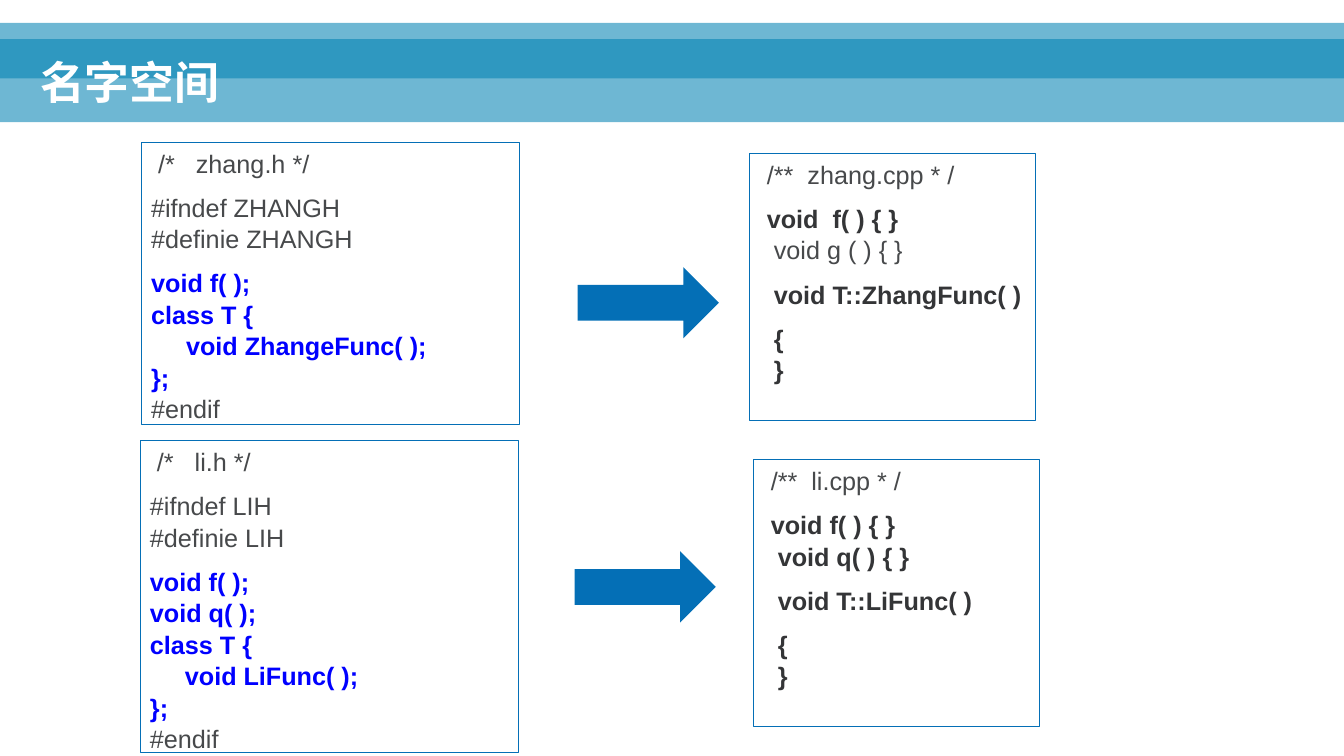
import pptx
import pptx.dml.color
import pptx.enum.shapes
import pptx.enum.text
import pptx.util
from lxml import etree
from pptx.oxml.ns import qn

Cm = pptx.util.Cm
Pt = pptx.util.Pt
RGBColor = pptx.dml.color.RGBColor
MSO_SHAPE = pptx.enum.shapes.MSO_SHAPE

WHITE = RGBColor(0xFF, 0xFF, 0xFF)
BAND_BLUE = RGBColor(0x00, 0x82, 0xB3)
FRAME_BLUE = RGBColor(0x04, 0x6F, 0xB6)
CODE_GRAY = RGBColor(0x47, 0x49, 0x4B)
DEFINITION_GRAY = RGBColor(0x34, 0x35, 0x37)
DECLARATION_BLUE = RGBColor(0x00, 0x00, 0xFF)

FONT = "Arial"
SLIDE_WIDTH, SLIDE_HEIGHT = 33.87, 19.05

# Code styles: colour and weight
PLAIN = (CODE_GRAY, False)
DECLARED = (DECLARATION_BLUE, True)
DEFINED = (DEFINITION_GRAY, True)

# Each file is a list of paragraphs; each paragraph a list of (lines, style)
ZHANG_HEADER = [
    [(" /*   zhang.h */", PLAIN)],
    [("#ifndef ZHANGH\n#definie ZHANGH", PLAIN)],
    [("void f( );\nclass T {\n     void ZhangeFunc( );\n};", DECLARED),
     ("#endif", PLAIN)],
]
ZHANG_SOURCE = [
    [(" /**  zhang.cpp * /", PLAIN)],
    [(" void  f( ) { }", DEFINED), ("  void g ( ) { }", PLAIN)],
    [("  void T::ZhangFunc( )", DEFINED)],
    [("  {\n  }", DEFINED)],
]
LI_HEADER = [
    [(" /*   li.h */", PLAIN)],
    [("#ifndef LIH\n#definie LIH", PLAIN)],
    [("void f( );\nvoid q( );\nclass T {\n     void LiFunc( );\n};", DECLARED),
     ("#endif", PLAIN)],
]
LI_SOURCE = [
    [(" /**  li.cpp * /", PLAIN)],
    [(" void f( ) { }\n  void q( ) { }", DEFINED)],
    [("  void T::LiFunc( )", DEFINED)],
    [("  {\n  }", DEFINED)],
]


def add_block(slide, kind, box, fill, line=None):
    block = slide.shapes.add_shape(kind, *map(Cm, box))
    block.shadow.inherit = False
    block.fill.solid()
    block.fill.fore_color.rgb = fill
    if line is None:
        block.line.fill.background()
    else:
        block.line.color.rgb = line
        block.line.width = Pt(0.75)
    return block


def add_title_banner(slide, box, title):
    left, top, width, height = box

    # Two translucent bands that overlap in the middle
    for offset, band_height in ((0.41, height - 0.41), (0, 1.4)):
        band = add_block(slide, MSO_SHAPE.RECTANGLE,
                         (left, top + offset, width, band_height), BAND_BLUE)
        colour = band.fill._xPr.find(".//" + qn("a:srgbClr"))
        etree.SubElement(colour, qn("a:alpha"), val="57000")

    # Title
    heading = slide.shapes.add_textbox(
        Cm(left + 0.76), Cm(top + 0.08), Cm(30.43), Cm(2.21))
    frame = heading.text_frame
    frame.word_wrap = True
    frame.vertical_anchor = pptx.enum.text.MSO_ANCHOR.BOTTOM
    frame.text = title
    paragraph = frame.paragraphs[0]
    paragraph.line_spacing = 0.9
    font = paragraph.runs[0].font
    font.name, font.size, font.bold = FONT, Pt(32), True
    font.color.rgb = WHITE


def add_code_box(slide, box, code):
    listing = add_block(slide, MSO_SHAPE.RECTANGLE, box, WHITE, FRAME_BLUE)
    frame = listing.text_frame
    frame.word_wrap = True
    frame.vertical_anchor = pptx.enum.text.MSO_ANCHOR.TOP
    for index, parts in enumerate(code):
        paragraph = frame.add_paragraph() if index else frame.paragraphs[0]
        paragraph.text = "\n".join(lines for lines, _ in parts)
        paragraph.alignment = pptx.enum.text.PP_ALIGN.LEFT
        paragraph.line_spacing = 1.04
        if index:
            paragraph.space_before = Pt(9)
        styles = [style for lines, style in parts for _ in lines.split("\n")]
        for run, (colour, bold) in zip(paragraph.runs, styles):
            run.font.name, run.font.size, run.font.bold = FONT, Pt(18), bold
            run.font.color.rgb = colour


def add_file_pair(slide, box, header, source, arrow_offset, source_offset):
    left, top, width, height = box
    add_code_box(slide, (left, top, 9.53, height), header)
    add_block(slide, MSO_SHAPE.RIGHT_ARROW,
              (left + arrow_offset[0], top + arrow_offset[1], 3.56, 1.8),
              FRAME_BLUE)
    source_left = left + source_offset[0]
    add_code_box(slide, (source_left, top + source_offset[1],
                         left + width - source_left, 6.73), source)


def main():
    deck = pptx.Presentation()
    deck.slide_width, deck.slide_height = Cm(SLIDE_WIDTH), Cm(SLIDE_HEIGHT)
    slide = deck.slides.add_slide(deck.slide_layouts[6])

    add_title_banner(slide, (0, 0.58, SLIDE_WIDTH, 2.5), "名字空间")
    add_file_pair(slide, (3.56, 3.58, 22.53, 7.11), ZHANG_HEADER, ZHANG_SOURCE,
                  arrow_offset=(11, 3.15), source_offset=(15.34, 0.28))
    add_file_pair(slide, (3.53, 11.1, 22.66, 7.87), LI_HEADER, LI_SOURCE,
                  arrow_offset=(10.95, 2.79), source_offset=(15.47, 0.48))

    deck.save("out.pptx")


if __name__ == "__main__":
    main()
